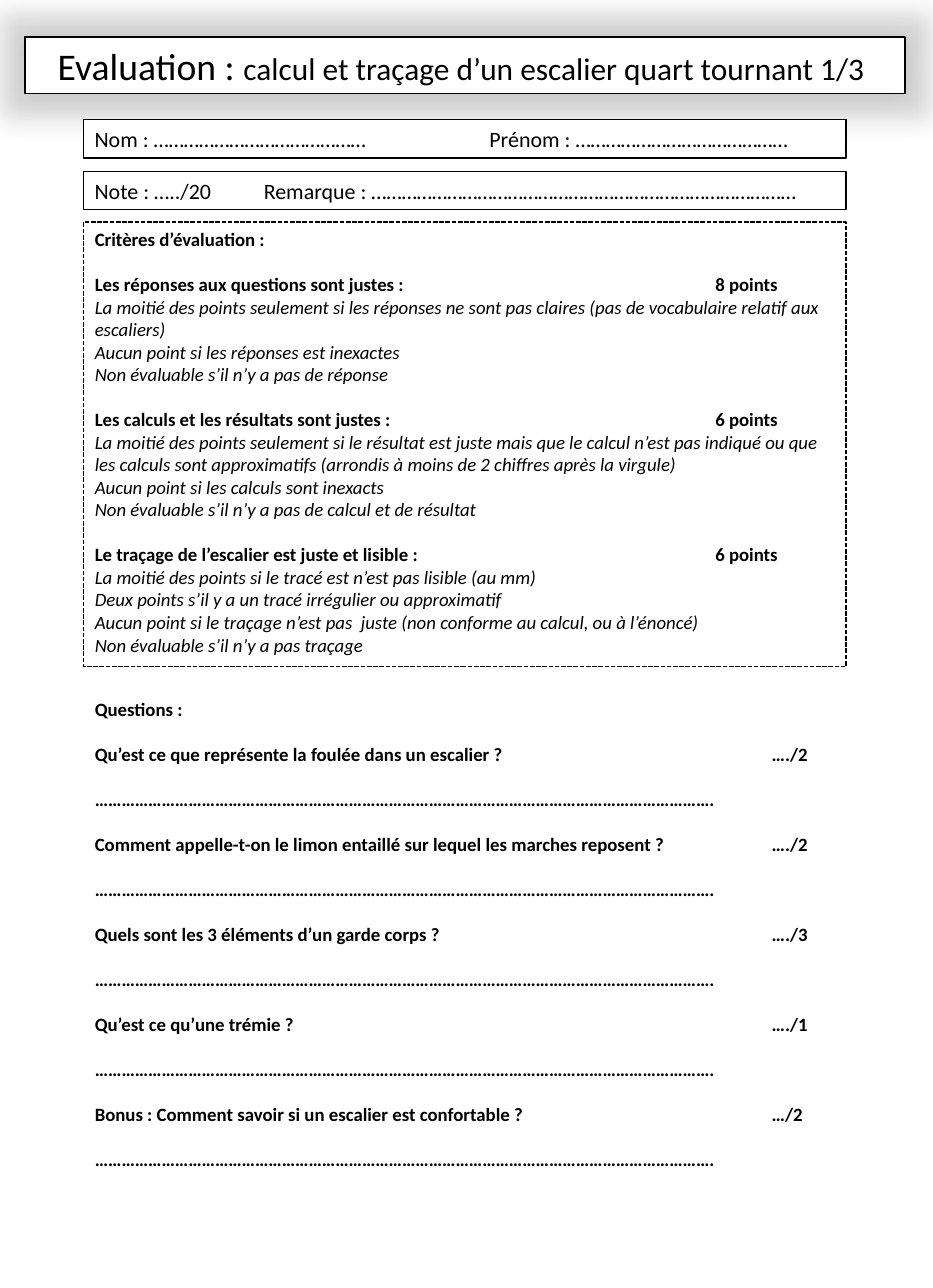
from dataclasses import dataclass

from lxml import etree
from pptx import Presentation
from pptx import util as u
from pptx.dml.color import RGBColor
from pptx.enum import dml, shapes, text
from pptx.oxml import ns

WIDTH, HEIGHT = 8.27, 11.42
FONT = "Calibri"
HUES = {"ink": "000000", "paper": "FFFFFF"}
LEFT, SPAN = 8.95, 81.74  # shared column, in percent of the slide width
GAP = 14.3  # one blank line of 12 pt text


@dataclass
class Box:
    """Place and size in percent of the slide."""
    left: float
    top: float
    wide: float
    high: float


@dataclass
class Run:
    words: str
    size: float = 12
    bold: bool = False
    slant: bool = False


@dataclass
class Para:
    runs: list[Run]
    gap: float = 0
    align: text.PP_ALIGN = text.PP_ALIGN.LEFT


@dataclass
class Row:
    """Two fields set apart by tabs."""
    top: float
    first: str
    tabs: int
    second: str


@dataclass
class Topic:
    head: str
    score: str
    notes: list[str]


@dataclass
class Quiz:
    ask: str
    tabs: int
    score: str


TITLE = [Run("Evaluation : ", 24),
         Run("calcul et traçage d’un escalier quart tournant 1/3 ", 20)]

ROWS = [
    Row(9.28, "Nom : ……………………………………", 3, "Prénom : ……………………………………"),
    Row(13.31, "Note : …../20", 1,
        "Remarque : …………………………………………………………………………"),
]

TOPICS = [
    Topic("Les réponses aux questions sont justes : ", "8 points", [
        "La moitié des points seulement si les réponses ne sont pas claires "
        "(pas de vocabulaire relatif aux escaliers)",
        "Aucun point si les réponses est inexactes",
        "Non évaluable s’il n’y a pas de réponse"]),
    Topic("Les calculs et les résultats sont justes : ", "6 points", [
        "La moitié des points seulement si le résultat est juste mais que le calcul "
        "n’est pas indiqué ou que les calculs sont approximatifs "
        "(arrondis à moins de 2 chiffres après la virgule)",
        "Aucun point si les calculs sont inexacts",
        "Non évaluable s’il n’y a pas de calcul et de résultat"]),
    Topic("Le traçage de l’escalier est juste et lisible : ", "6 points", [
        "La moitié des points si le tracé est n’est pas lisible (au mm)",
        "Deux points s’il y a un tracé irrégulier ou approximatif",
        "Aucun point si le traçage n’est pas  juste (non conforme au calcul, ou à l’énoncé)",
        "Non évaluable s’il n’y a pas traçage"]),
]

QUIZ = [
    Quiz("Qu’est ce que représente la foulée dans un escalier ?", 5, "…./2"),
    Quiz("Comment appelle-t-on le limon entaillé sur lequel les marches reposent ?", 2, "…./2"),
    Quiz("Quels sont les 3 éléments d’un garde corps ?", 6, "…./3"),
    Quiz("Qu’est ce qu’une trémie ?", 9, "…./1"),
    Quiz("Bonus : Comment savoir si un escalier est confortable ?", 5, "…/2"),
]
DOTS = "…………………………………………………………………………………………………………………………."


def hue(name: str) -> RGBColor:
    return RGBColor.from_string(HUES[name])


def place(shape, box: Box) -> None:
    shape.left = u.Inches(box.left * WIDTH / 100)
    shape.top = u.Inches(box.top * HEIGHT / 100)
    shape.width = u.Inches(box.wide * WIDTH / 100)
    shape.height = u.Inches(box.high * HEIGHT / 100)


def frame(shape, dash: bool = False) -> None:
    """White fill and a thin black outline."""
    shape.fill.solid()
    shape.fill.fore_color.rgb = hue("paper")
    shape.line.color.rgb = hue("ink")
    shape.line.width = u.Pt(1)
    if dash:
        shape.line.dash_style = dml.MSO_LINE.SQUARE_DOT


def write(shape, paras: list[Para], anchor: text.MSO_ANCHOR) -> None:
    body = shape.text_frame
    body.word_wrap = True
    body.auto_size = text.MSO_AUTO_SIZE.NONE
    body.vertical_anchor = anchor
    for spot, para in enumerate(paras):
        line = body.paragraphs[0] if spot == 0 else body.add_paragraph()
        line.alignment = para.align
        line.line_spacing = 1.0
        line.space_before, line.space_after = u.Pt(para.gap), u.Pt(0)
        props = line._p.get_or_add_pPr()
        props.set("marL", "0")
        props.set("indent", "0")
        etree.SubElement(props, ns.qn("a:buNone"))
        for item in para.runs:
            run = line.add_run()
            run.text = item.words
            run.font.name, run.font.size = FONT, u.Pt(item.size)
            run.font.bold, run.font.italic = item.bold, item.slant
            run.font.color.rgb = hue("ink")


def halo(shape) -> None:
    """Wide pale glow with a tighter, darker soft shadow."""
    group = etree.SubElement(shape._element.spPr, ns.qn("a:effectLst"))
    for tag, key, reach, alpha in (("a:glow", "rad", 0.44, 14),
                                   ("a:outerShdw", "blurRad", 0.2, 11)):
        part = etree.SubElement(group, ns.qn(tag), {key: str(u.Inches(reach))})
        tint = etree.SubElement(part, ns.qn("a:srgbClr"), val=HUES["ink"])
        etree.SubElement(tint, ns.qn("a:alpha"), val=str(alpha * 1000))


def spread(first: str, tabs: int, second: str) -> str:
    return first + "\t" * tabs + second


def rules() -> list[Para]:
    paras = [Para([Run("Critères d’évaluation :", bold=True)])]
    for topic in TOPICS:
        paras.append(Para([Run(spread(topic.head, 6, topic.score), bold=True)], GAP))
        paras += [Para([Run(note, slant=True)]) for note in topic.notes]
    return paras


def asks() -> list[Para]:
    paras = [Para([Run("Questions :", bold=True)])]
    for quiz in QUIZ:
        for words in (spread(quiz.ask, quiz.tabs, quiz.score), DOTS):
            paras.append(Para([Run(words, bold=True)], GAP))
    return paras


def main() -> None:
    deck = Presentation()
    deck.slide_width, deck.slide_height = u.Inches(WIDTH), u.Inches(HEIGHT)
    slide = deck.slides.add_slide(deck.slide_layouts[3])
    title, first, second = slide.placeholders

    # Title banner
    place(title, Box(2.66, 2.89, 94.32, 4.38))
    frame(title)
    halo(title)
    write(title, [Para(TITLE, align=text.PP_ALIGN.CENTER)], text.MSO_ANCHOR.MIDDLE)

    # Marking rules and questions
    place(first, Box(LEFT, 17.25, SPAN, 34.5))
    frame(first, dash=True)
    write(first, rules(), text.MSO_ANCHOR.TOP)
    place(second, Box(LEFT, 53.77, SPAN, 38))
    write(second, asks(), text.MSO_ANCHOR.TOP)

    # Name and mark rows
    for row in ROWS:
        bar = slide.shapes.add_shape(shapes.MSO_SHAPE.RECTANGLE, 0, 0, 0, 0)
        place(bar, Box(LEFT, row.top, SPAN, 2.98))
        frame(bar)
        bar.shadow.inherit = False
        words = spread(row.first, row.tabs, row.second)
        write(bar, [Para([Run(words, 14)])], text.MSO_ANCHOR.MIDDLE)

    deck.save("out.pptx")


if __name__ == "__main__":
    main()
